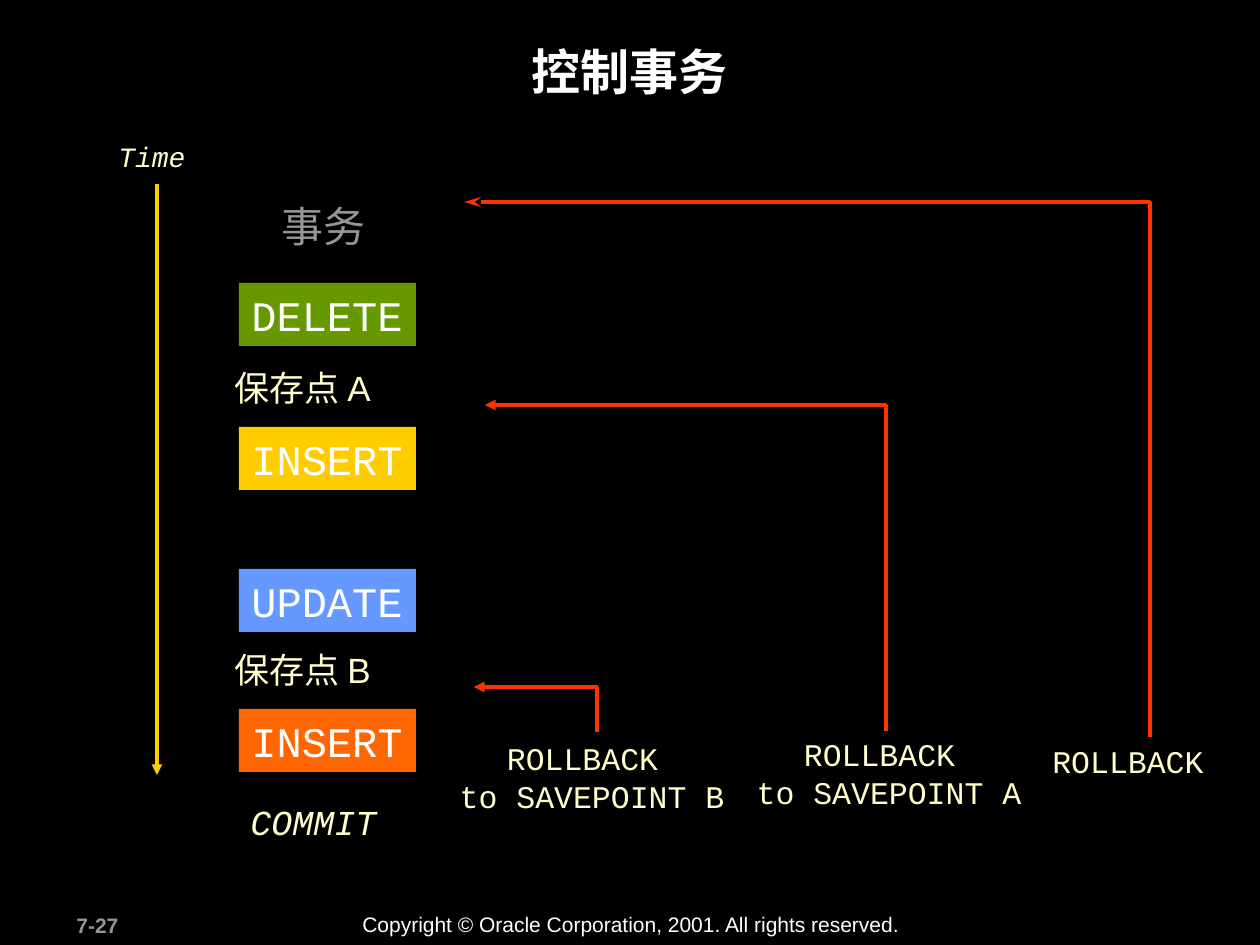
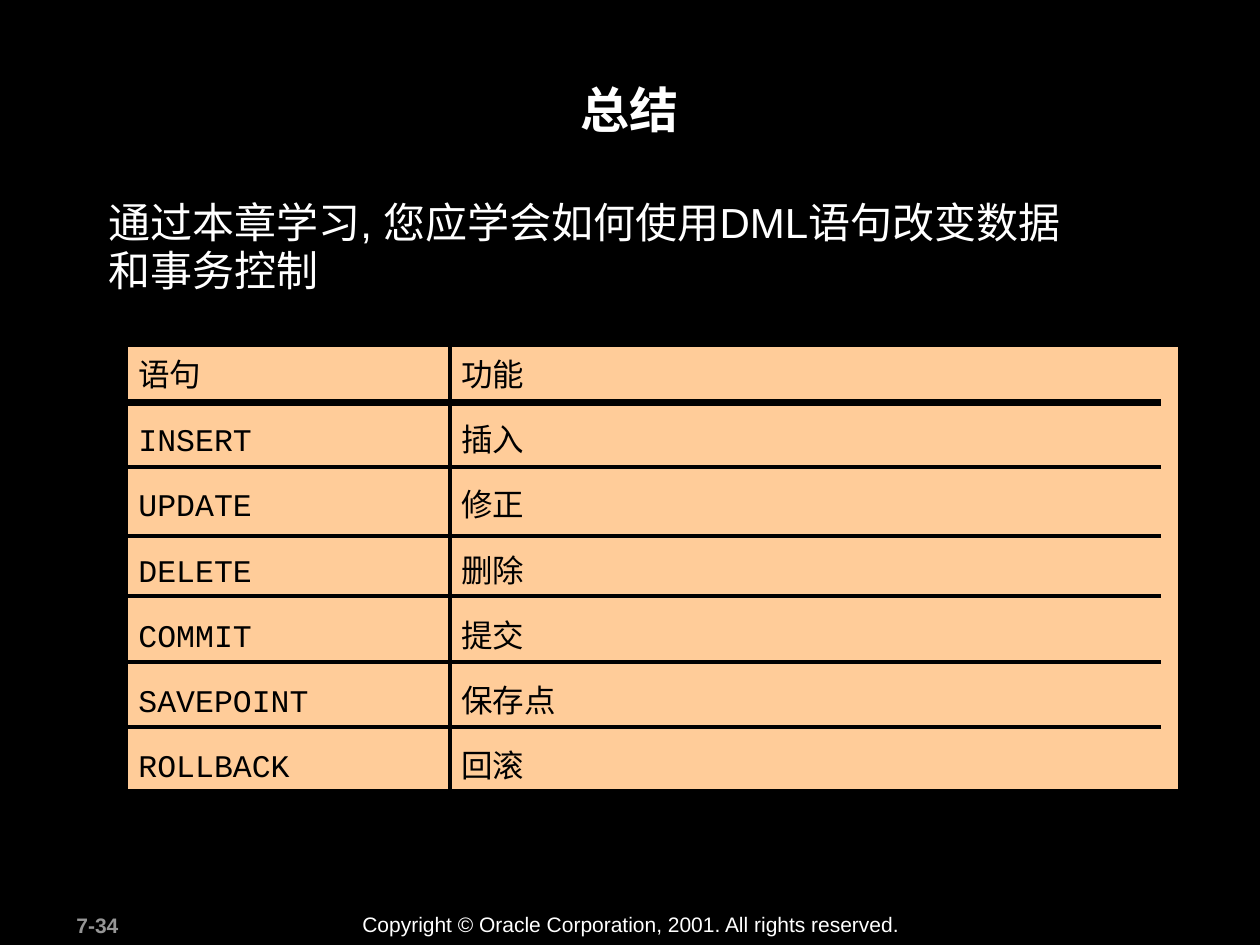
from lxml import etree
from pptx import Presentation
from pptx.dml.color import RGBColor
from pptx.enum.shapes import MSO_CONNECTOR, MSO_SHAPE
from pptx.enum.text import MSO_ANCHOR, PP_ALIGN
from pptx.oxml.ns import qn
from pptx.util import Pt

LEFT, CENTER = PP_ALIGN.LEFT, PP_ALIGN.CENTER
TOP = MSO_ANCHOR.TOP
RECT = MSO_SHAPE.RECTANGLE
STRAIGHT = MSO_CONNECTOR.STRAIGHT
WIDE, HIGH = 1260, 945
SANS, MONO = "Arial", "Courier New"
COLORS = {
    "black": "000000",
    "white": "FFFFFF",
    "gray": "969696",
    "cream": "FFFFCC",
    "green": "669900",
    "gold": "FFCC00",
    "blue": "6699FF",
    "orange": "FF6600",
    "red": "FF3300",
    "peach": "FFCC99",
}
NOTICE = "Copyright © Oracle Corporation, 2001. All rights reserved."


def px(count):
    return round(count * 914400 / 126)


def color(name):
    return RGBColor.from_string(COLORS[name])


def write(frame, text, size=18, font=SANS, head=None, ink="white",
          bold=False, slant=False, align=LEFT, wrap=True, space=1.0, gap=0):
    frame.word_wrap = wrap
    for index, line in enumerate(text.split("\n")):
        first = index == 0
        para = frame.paragraphs[0] if first else frame.add_paragraph()
        para.text = line
        para.alignment = align
        para.line_spacing = space
        para.space_before = Pt(0 if first else gap)
        para.font.size = Pt(size)
        para.font.name = head if first and head else font
        para.font.bold = bold
        para.font.italic = slant
        para.font.color.rgb = color(ink)


def label(slide, box, text, **style):
    shape = slide.shapes.add_textbox(*map(px, box))
    write(shape.text_frame, text, **style)


def block(slide, box, text, fill, edge=None, **style):
    shape = slide.shapes.add_shape(RECT, *map(px, box))
    shape.shadow.inherit = False
    shape.fill.solid()
    shape.fill.fore_color.rgb = color(fill)
    if edge:
        shape.line.color.rgb = color(edge)
        shape.line.width = Pt(2)
    else:
        shape.line.fill.background()
    shape.text_frame.vertical_anchor = TOP
    write(shape.text_frame, text, **style)


def stroke(shape, ink, width=2, tip=None, size="med"):
    shape.line.color.rgb = color(ink)
    shape.line.width = Pt(width)
    line = shape.line._get_or_add_ln()
    etree.SubElement(line, qn("a:round"))
    if tip:
        etree.SubElement(line, qn("a:tailEnd"), type=tip, len=size)


def rule(slide, start, end, ink, **style):
    shape = slide.shapes.add_connector(
        STRAIGHT, *map(px, start), *map(px, end))
    stroke(shape, ink, **style)
    etree.SubElement(shape._element.spPr, qn("a:effectLst"))


def bend(slide, box, **style):
    x, y, w, h = box
    path = slide.shapes.build_freeform(px(x + w), px(y + h))
    path.add_line_segments(
        [(px(x + w), px(y)), (px(x), px(y))], close=False)
    shape = path.convert_to_shape()
    shape.shadow.inherit = False
    shape.fill.background()
    stroke(shape, "red", **style)


def base(deck, title, top, page):
    slide = deck.slides.add_slide(deck.slide_layouts[6])
    slide.background.fill.solid()
    slide.background.fill.fore_color.rgb = color("black")
    label(slide, (64, 906, 132, 38), page, size=12, ink="gray", bold=True)
    label(slide, (350, 905, 564, 38), NOTICE, size=12)
    label(slide, (119, top, 1021, 121), title,
          size=28, bold=True, align=CENTER)
    return slide


def clock(slide, box):
    x, y, w, h = box
    label(slide, (x, y, w, 47), "Time", size=16, font=MONO,
          ink="cream", slant=True)
    rule(slide, (x + 51, y + 51), (x + 51, y + h), "gold", tip="triangle")


def steps(slide, box):
    x, y, w, h = box
    label(slide, (x + 30, y, 120, 63), "事务",
          size=24, ink="gray", wrap=False)
    blocks = [
        (89, "DELETE", "green"),
        (233, "INSERT", "gold"),
        (375, "UPDATE", "blue"),
        (515, "INSERT", "orange"),
    ]
    for drop, text, fill in blocks:
        block(slide, (x, y + drop, w, 63), text, fill,
              size=24, font=MONO, wrap=False)
    for drop, text in [(166, "保存点 A"), (448, "保存点 B")]:
        label(slide, (x - 17, y + drop, 282, 54), text, size=20, ink="cream")
    label(slide, (x - 1, y + h - 54, 179, 54), "COMMIT",
          size=20, font=MONO, ink="cream", slant=True)


def returns(slide, box):
    x, y, w, h = box
    routes = [
        (27, 485, 123, 45, "triangle", "med"),
        (38, 203, 401, 326, "triangle", "med"),
        (17, 0, 686, 535, "stealth", "lg"),
    ]
    for left, top, wide, high, tip, size in routes:
        bend(slide, (x + left, y + top, wide, high), tip=tip, size=size)
    notes = [
        (0, 531, 290, "ROLLBACK \nto SAVEPOINT B", CENTER),
        (297, 527, 290, "ROLLBACK \nto SAVEPOINT A", CENTER),
        (593, 534, 176, "ROLLBACK", LEFT),
    ]
    for left, top, wide, text, align in notes:
        label(slide, (x + left, y + top, wide, h - top), text,
              font=MONO, ink="cream", align=align, wrap=False)


def guide(slide, box):
    x, y, w, h = box
    tasks = "功能\n插入\n修正\n删除\n提交\n保存点\n回滚"
    words = "语句\nINSERT\nUPDATE\nDELETE\nCOMMIT\nSAVEPOINT\nROLLBACK"
    split = 323
    panels = [
        (split, w - split, tasks, SANS),
        (0, split + 1, words, MONO),
    ]
    for left, wide, text, font in panels:
        block(slide, (x + left, y, wide, h), text, "peach", edge="black",
              font=font, head=SANS, ink="black", space=1.1, gap=13.5)
    for drop in (58, 122, 191, 251, 317, 382, 449):
        rule(slide, (x + 1, y + drop), (x + w - 19, y + drop), "black",
             width=4 if drop == 58 else 2)


def flow(deck):
    slide = base(deck, "控制事务", 35, "7-27")
    clock(slide, (106, 133, 101, 642))
    steps(slide, (239, 194, 177, 654))
    returns(slide, (447, 202, 769, 618))


def recap(deck):
    slide = base(deck, "总结", 73, "7-34")
    guide(slide, (126, 345, 1054, 446))
    label(slide, (96, 194, 980, 108),
          "通过本章学习, 您应学会如何使用DML语句改变数据和事务控制",
          size=24, space=0.95)


def main():
    deck = Presentation()
    deck.slide_width = px(WIDE)
    deck.slide_height = px(HIGH)
    flow(deck)
    recap(deck)
    deck.save("out.pptx")


if __name__ == "__main__":
    main()
